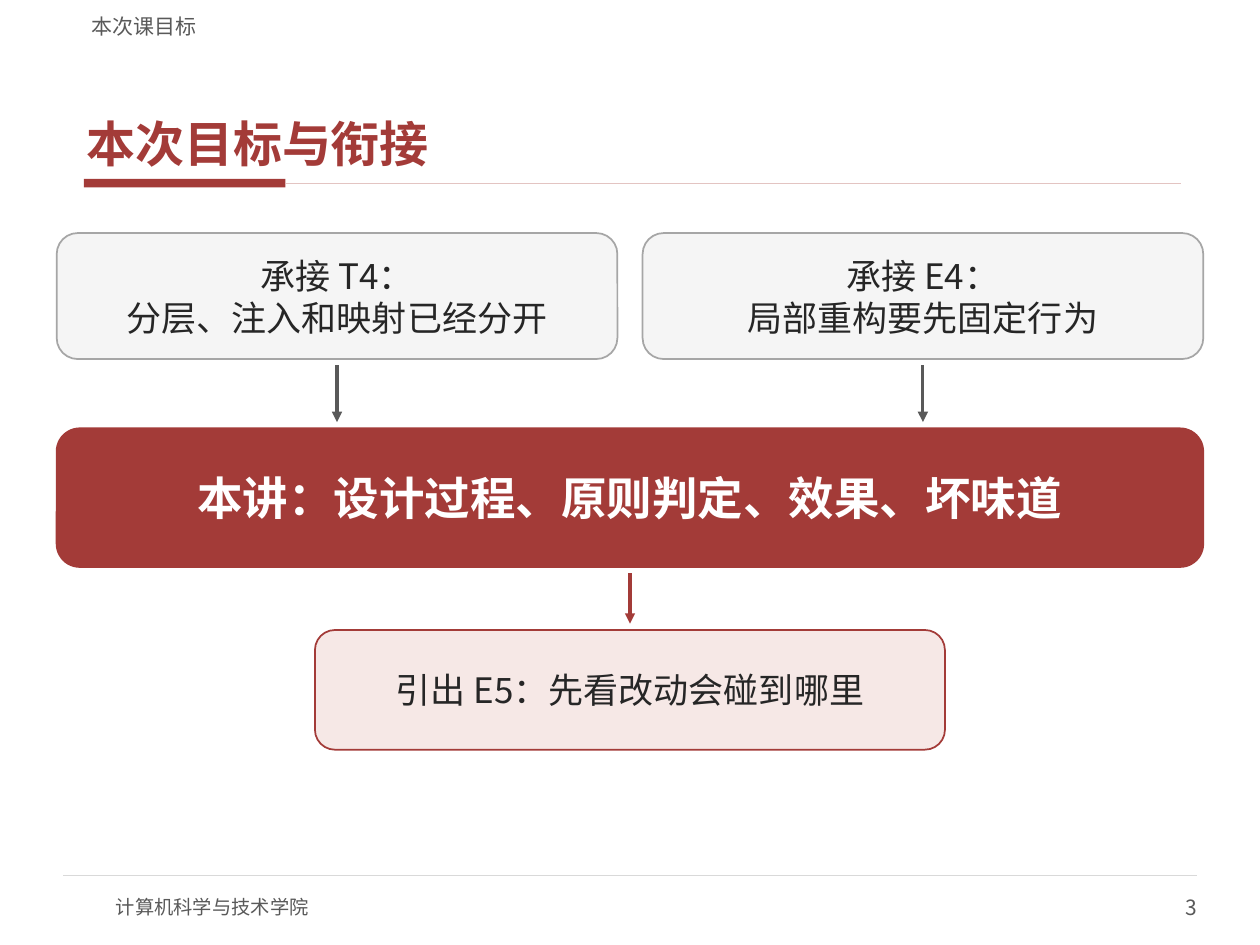
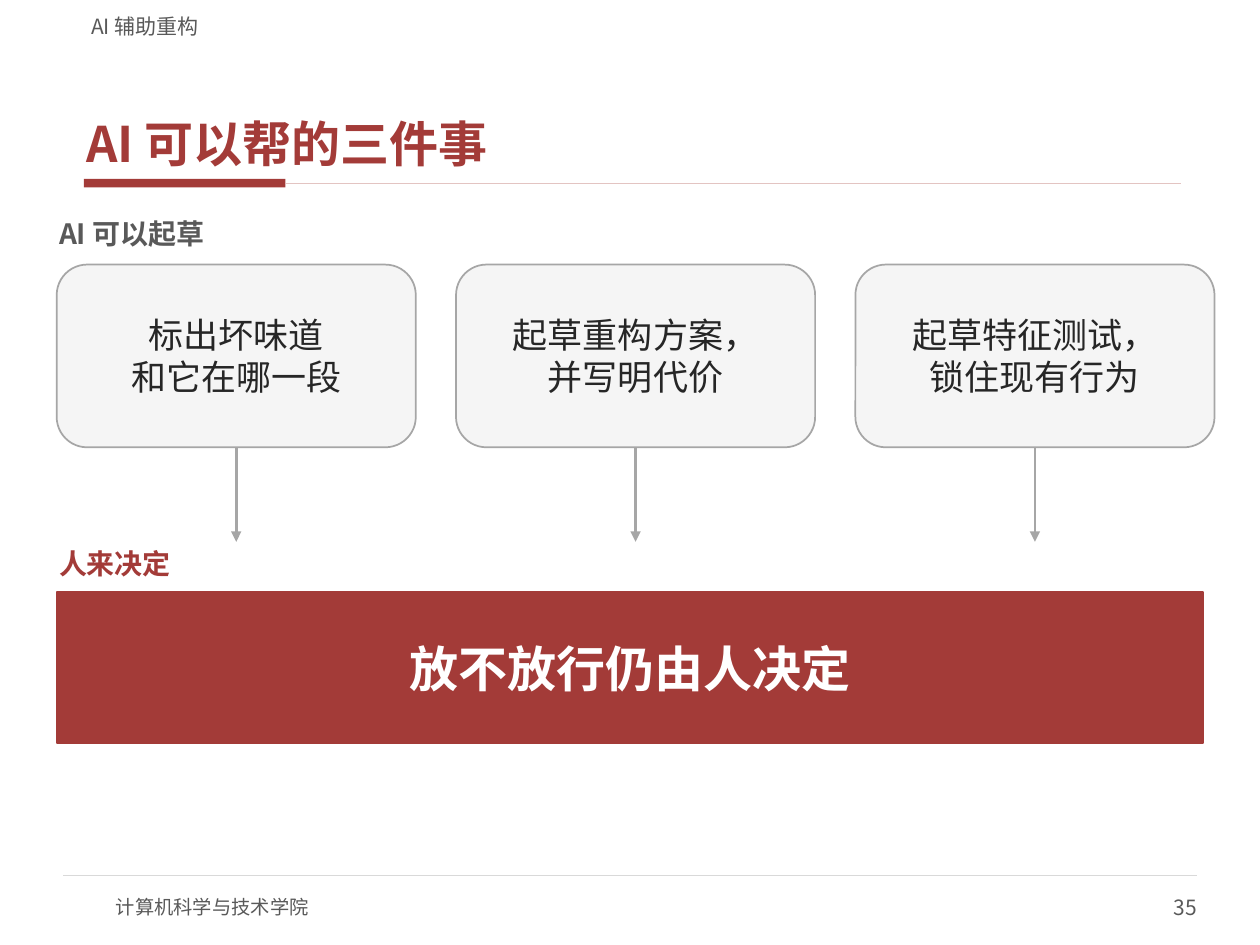
"""Build two lecture slides: the goals of the session and the three tasks AI can help with."""
from lxml import etree
from pptx import Presentation
from pptx.dml.color import RGBColor
from pptx.enum import shapes as kinds, text as styles
from pptx.oxml import ns
from pptx.util import Pt

RED = RGBColor(0xA3, 0x3B, 0x38)
ROSE = RGBColor(0xE3, 0xC4, 0xC2)
BLUSH = RGBColor(0xF6, 0xE8, 0xE6)
WHITE = RGBColor(0xFF, 0xFF, 0xFF)
PALE = RGBColor(0xF5, 0xF5, 0xF5)
SILVER = RGBColor(0xD9, 0xD9, 0xD9)
GRAY = RGBColor(0xA6, 0xA6, 0xA6)
SLATE = RGBColor(0x59, 0x59, 0x59)
INK = RGBColor(0x26, 0x26, 0x26)
FONT = "Noto Sans CJK SC"
LEFT, FULL_WIDTH = 32.4, 655.2
RECT, ROUND = kinds.MSO_SHAPE.RECTANGLE, kinds.MSO_SHAPE.ROUNDED_RECTANGLE
MIDDLE, BOTTOM = styles.MSO_ANCHOR.MIDDLE, styles.MSO_ANCHOR.BOTTOM
START, CENTER, END = styles.PP_ALIGN.LEFT, styles.PP_ALIGN.CENTER, styles.PP_ALIGN.RIGHT


def write(shape, wording, size, color, bold=False, align=START, anchor=MIDDLE, insets=(0, 0)):
    frame = shape.text_frame
    frame.word_wrap = True
    frame.auto_size = styles.MSO_AUTO_SIZE.NONE
    frame.vertical_anchor = anchor
    frame.margin_left = frame.margin_right = Pt(insets[0])
    frame.margin_top = frame.margin_bottom = Pt(insets[1])
    paragraph = frame.paragraphs[0]
    paragraph.alignment = align
    for number, row in enumerate(wording.split("\n")):
        if number:
            paragraph.add_line_break()
        run = paragraph.add_run()
        run.text = row
        run.font.size = Pt(size)
        run.font.bold = bold
        run.font.color.rgb = color
        run.font.name = FONT
        east_asian = etree.SubElement(run.font._element, ns.qn("a:ea"))
        east_asian.set("typeface", FONT)


def draw_line(slide, start, end, color, width, arrow=False):
    line = slide.shapes.add_connector(
        kinds.MSO_CONNECTOR.STRAIGHT, *[Pt(value) for value in (*start, *end)])
    line.line.color.rgb = color
    line.line.width = Pt(width)
    if arrow:
        etree.SubElement(line.line._get_or_add_ln(), ns.qn("a:tailEnd"), type="triangle")
    etree.SubElement(line._element.spPr, ns.qn("a:effectLst"))
    return line


deck = Presentation()
deck.slide_width, deck.slide_height = Pt(720), Pt(540)
pages = []
for heading, section, page_number in (
    ("本次目标与衔接", "本次课目标", "3"),
    ("AI 可以帮的三件事", "AI 辅助重构", "35"),
):
    page = deck.slides.add_slide(deck.slide_layouts[5])
    pages.append(page)
    title = page.shapes.title
    title.left, title.top, title.width, title.height = Pt(45), Pt(24), Pt(630), Pt(75.6)
    write(title, heading, 28, RED, True, anchor=BOTTOM, insets=(4.3, 1.4))
    title.text_frame.paragraphs[0].space_before = Pt(0)
    title.text_frame.paragraphs[0].space_after = Pt(2)

    accent = page.shapes.add_shape(RECT, Pt(48), Pt(102.2), Pt(115.2), Pt(5))
    accent.shadow.inherit = False
    accent.fill.solid()
    accent.fill.fore_color.rgb = RED
    accent.line.fill.background()
    draw_line(page, (163.2, 104.8), (674.6, 104.8), ROSE, 1)
    draw_line(page, (36, 500.4), (684, 500.4), SILVER, 0.75)

    for wording, place, size, align, anchor, insets in (
        (section, (45, 2.9, 630, 19.4), 12, START, BOTTOM, (7.2, 0)),
        ("计算机科学与技术学院", (66.2, 504, 288, 28.8), 11, START, MIDDLE, (0, 0)),
        (page_number, (540, 504, 144, 28.8), 12, END, MIDDLE, (0, 0)),
    ):
        margin_note = page.shapes.add_textbox(*[Pt(value) for value in place])
        write(margin_note, wording, size, SLATE, align=align, anchor=anchor, insets=insets)

goals, ai_help = pages
links = ("承接 T4：\n分层、注入和映射已经分开", "承接 E4：\n局部重构要先固定行为")
drafts = ("标出坏味道\n和它在哪一段", "起草重构方案，\n并写明代价", "起草特征测试，\n锁住现有行为")
blocks = [(goals, ROUND, (LEFT + 334.8 * column, 133.2, 320.4, 72), PALE, GRAY, 20, INK, link)
          for column, link in enumerate(links)]
blocks += [
    (goals, ROUND, (LEFT, 244.8, FULL_WIDTH, 79.2), RED, RED, 26, WHITE,
     "本讲：设计过程、原则判定、效果、坏味道"),
    (goals, ROUND, (180, 360, 360, 68.4), BLUSH, RED, 20, INK, "引出 E5：先看改动会碰到哪里"),
]
blocks += [(ai_help, ROUND, (LEFT + 228.2 * column, 151.2, 205.2, 104.4), PALE, GRAY, 20, INK, draft)
           for column, draft in enumerate(drafts)]
blocks.append((ai_help, RECT, (LEFT, 338.4, FULL_WIDTH, 86.4), RED, RED, 28, WHITE,
               "放不放行仍由人决定"))

for page, outline, place, fill, border, size, color, wording in blocks:
    block = page.shapes.add_shape(outline, *[Pt(value) for value in place])
    block.shadow.inherit = False
    block.fill.solid()
    block.fill.fore_color.rgb = fill
    block.line.color.rgb = border
    block.line.width = Pt(1)
    write(block, wording, size, color, color == WHITE, CENTER, insets=(5.8, 2.9))
    if wording in drafts:
        center = place[0] + place[2] / 2
        decision = draw_line(page, (center, 255.6), (center, 309.6), GRAY, 1.5, True)
        decision.begin_connect(block, 2)

for center, top, bottom, color in (
    (192.6, 208.8, 241.2, SLATE),
    (527.4, 208.8, 241.2, SLATE),
    (360, 327.6, 356.4, RED),
):
    draw_line(goals, (center, top), (center, bottom), color, 1.75, True)

for wording, top, color in (("AI 可以起草", 121, SLATE), ("人来决定", 309.6, RED)):
    role = ai_help.shapes.add_textbox(Pt(LEFT), Pt(top), Pt(FULL_WIDTH), Pt(24.5))
    write(role, wording, 16, color, True, insets=(1.4, 0.7))

deck.save("out.pptx")
